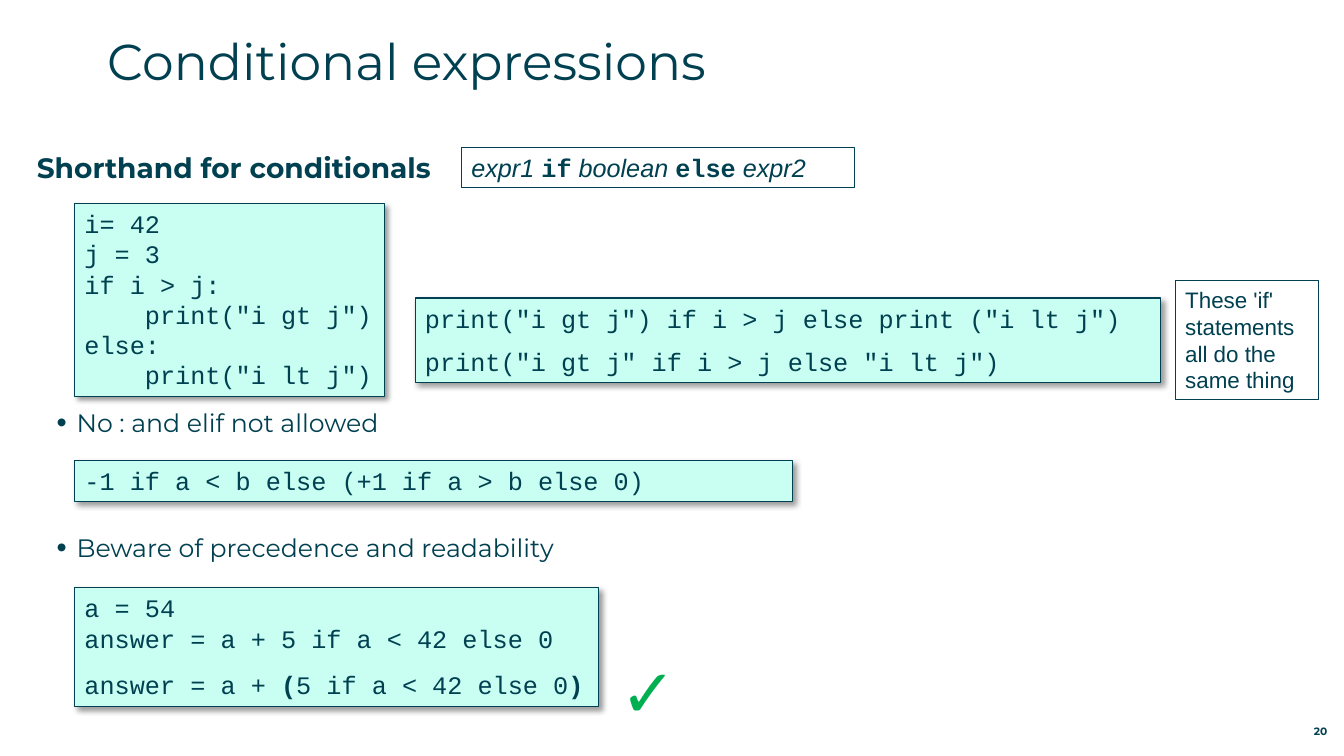
from lxml import etree
from pptx import Presentation
from pptx.dml.color import RGBColor
from pptx.enum import shapes, text
from pptx.oxml import parse_xml
from pptx.oxml.ns import nsdecls, qn
from pptx.util import Cm, Pt

TEAL = RGBColor(0x00, 0x40, 0x50)
MINT = RGBColor(0xC8, 0xFF, 0xF2)
WHITE = RGBColor(0xFF, 0xFF, 0xFF)
GREEN = RGBColor(0x00, 0xB0, 0x50)
SANS, MONO, HEAD = "Arial", "Courier New", "Montserrat"
SHADOW = (
    f'<a:effectLst {nsdecls("a")}><a:outerShdw blurRad="50800" dist="38100" dir="2700000" '
    'algn="tl" rotWithShape="0"><a:srgbClr val="000000"><a:alpha val="40000"/></a:srgbClr>'
    '</a:outerShdw></a:effectLst>')


def add_run(p, words, font, size, color=TEAL, bold=False, italic=False):
    r = p.add_run()
    r.text = words
    r.font.name, r.font.size = font, Pt(size)
    r.font.bold, r.font.italic = bold, italic
    r.font.color.rgb = color


def add_box(place, fill=None, outlined=True, inset=True):
    place = [Cm(v) for v in place]
    if outlined:
        sp = s.shapes.add_shape(shapes.MSO_SHAPE.RECTANGLE, *place)
        sp.shadow.inherit = False
        sp.line.color.rgb, sp.line.width = TEAL, Pt(0.75)
        if fill is None:
            sp.fill.background()
        else:
            sp.fill.solid()
            sp.fill.fore_color.rgb = fill
    else:
        sp = s.shapes.add_textbox(*place)
    tf = sp.text_frame
    tf.word_wrap = True
    tf.vertical_anchor = text.MSO_ANCHOR.TOP
    if not inset:
        tf.margin_left = tf.margin_right = tf.margin_top = tf.margin_bottom = 0
    tf.paragraphs[0].alignment = text.PP_ALIGN.LEFT
    return sp


prs = Presentation()
prs.slide_width, prs.slide_height = Cm(33.87), Cm(19.05)
s = prs.slides.add_slide(prs.slide_layouts[5])

# Title
title = s.shapes.title
title.left, title.top, title.width, title.height = Cm(2.7), Cm(0.76), Cm(30.5), Cm(2.24)
tf = title.text_frame
tf.margin_left = tf.margin_right = tf.margin_top = tf.margin_bottom = 0
tf.vertical_anchor = text.MSO_ANCHOR.TOP
tf.paragraphs[0].alignment = text.PP_ALIGN.LEFT
add_run(tf.paragraphs[0], "Conditional expressions", HEAD, 36)

# Heading
p = add_box((0.93, 3.79, 10.5, 0.9), outlined=False, inset=False).text_frame.paragraphs[0]
add_run(p, "Shorthand for conditionals", HEAD, 20, bold=True)

# Bullets
for words, top in (("No : and elif not allowed", 10.27),
                   ("Beware of precedence and readability", 13.41)):
    p = add_box((0.93, top, 20, 0.8), outlined=False, inset=False).text_frame.paragraphs[0]
    pPr = p._p.get_or_add_pPr()
    pPr.set("marL", str(Cm(1)))
    pPr.set("indent", str(-Cm(0.5)))
    etree.SubElement(pPr, qn("a:buSzPct"), val="115000")
    etree.SubElement(pPr, qn("a:buFont"), typeface=SANS)
    etree.SubElement(pPr, qn("a:buChar"), char="•")
    add_run(p, words, HEAD, 18)

# Code boxes: place, lines, and the gap above the last line
code_boxes = [
    ((10.46, 7.51, 18.78, 2.13),
     ['print("i gt j") if i > j else print ("i lt j")',
      'print("i gt j" if i > j else "i lt j")'], 9),
    ((1.88, 5.13, 7.8, 4.87),
     ["i= 42", "j = 3", "if i > j:", '    print("i gt j")', "else:", '    print("i lt j")'], 0),
    ((1.88, 14.81, 13.21, 3),
     ["a = 54", "answer = a + 5 if a < 42 else 0",
      ["answer = a + ", "(", "5 if a < 42 else 0", ")"]], 11.5),
    ((1.88, 11.61, 18.1, 1.04), ["-1 if a < b else (+1 if a > b else 0)"], 0),
]
for place, lines, gap in code_boxes:
    sp = add_box(place, MINT)
    spPr = sp._element.spPr
    spPr.replace(spPr.find(qn("a:effectLst")), parse_xml(SHADOW))
    for i, line in enumerate(lines):
        p = sp.text_frame.paragraphs[0] if i == 0 else sp.text_frame.add_paragraph()
        p.alignment = text.PP_ALIGN.LEFT
        if gap and i == len(lines) - 1:
            p.space_before = Pt(gap)
        for part in [line] if isinstance(line, str) else line:
            add_run(p, part, MONO, 18, bold=part in ("(", ")"))

# Syntax pattern: keywords in bold code, the rest in italics
p = add_box((11.63, 3.71, 9.9, 1.02)).text_frame.paragraphs[0]
for words in ("expr1 ", "if", " boolean ", "else", " expr2"):
    keyword = words in ("if", "else")
    add_run(p, words, MONO if keyword else SANS, 18, bold=keyword, italic=not keyword)

# Side note
p = add_box((29.62, 7.08, 3.61, 3), WHITE).text_frame.paragraphs[0]
add_run(p, "These 'if' statements all do the same thing", SANS, 16)

# Tick beside the recommended form
p = add_box((15.39, 16.26, 1.83, 2.29), outlined=False).text_frame.paragraphs[0]
add_run(p, "✓", SANS, 48, GREEN, bold=True)

# Page number
tf = add_box((31.27, 18.08, 2.18, 0.51), outlined=False, inset=False).text_frame
tf.vertical_anchor = text.MSO_ANCHOR.BOTTOM
tf.paragraphs[0].alignment = text.PP_ALIGN.RIGHT
add_run(tf.paragraphs[0], "20", HEAD, 7.6, bold=True)

prs.save("out.pptx")
